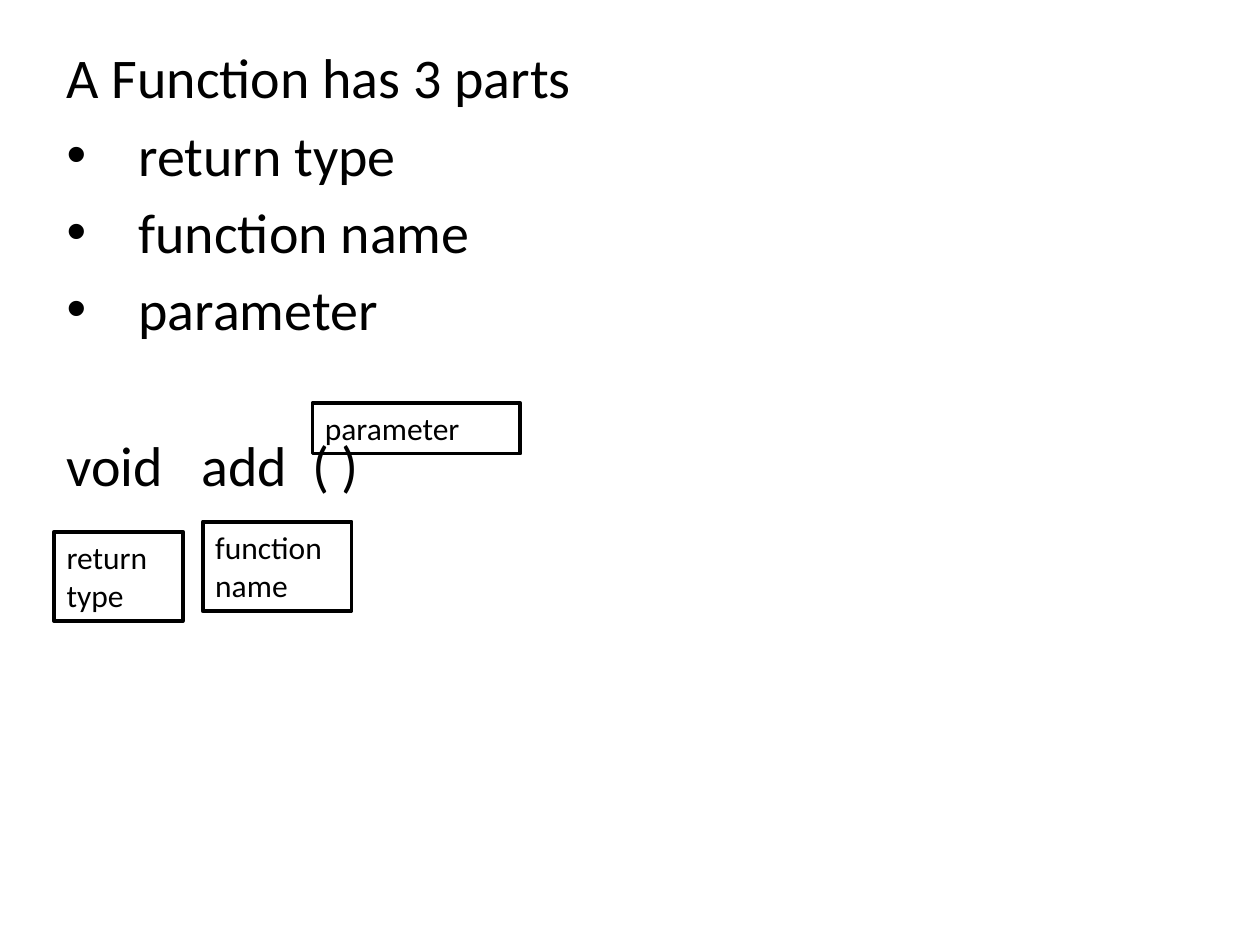
"""Build a slide naming the three parts of a function."""
from lxml.etree import SubElement
from pptx import Presentation
from pptx.dml.color import RGBColor
from pptx.enum.shapes import MSO_SHAPE
from pptx.enum.text import MSO_ANCHOR, PP_ALIGN
from pptx.oxml.ns import qn
from pptx.util import Inches, Pt

COLORS = {"ink": "000000", "paper": "FFFFFF"}
INK = RGBColor.from_string(COLORS["ink"])
LEFT = 0.43
BULLET_INDENT = 0.57
CODE_TABS = [1.07, 1.95]
LINE_GAP = 5.75
CODE_GAP = 50.5


def style(para, size):
    para.alignment = PP_ALIGN.LEFT
    para.font.name = "Calibri"
    para.font.size = Pt(size)
    para.font.color.rgb = INK


deck = Presentation()
deck.slide_width, deck.slide_height = Inches(10), Inches(7.5)
page = deck.slides.add_slide(deck.slide_layouts[6])
page.background.fill.solid()
page.background.fill.fore_color.rgb = RGBColor.from_string(COLORS["paper"])

body = page.shapes.add_textbox(Inches(LEFT), Inches(0.29), Inches(9), Inches(4.95))
frame = body.text_frame
frame.word_wrap = True
lines = [
    ("A Function has 3 parts", False, 0),
    ("return type", True, LINE_GAP),
    ("function name", True, LINE_GAP),
    ("parameter", True, LINE_GAP),
    ("void\tadd\t( )", False, CODE_GAP),
]
for index, (text, bulleted, gap) in enumerate(lines):
    para = frame.add_paragraph() if index else frame.paragraphs[0]
    para.add_run().text = text
    style(para, 32)
    para.space_before = Pt(gap)
    properties = para._p.get_or_add_pPr()
    if bulleted:
        properties.set("marL", str(Inches(BULLET_INDENT)))
        properties.set("indent", str(-Inches(BULLET_INDENT)))
        font = properties.find(qn("a:defRPr"))
        for tag, name, value in [("a:buFont", "typeface", "Arial"), ("a:buChar", "char", "•")]:
            bullet = SubElement(properties, qn(tag))
            bullet.set(name, value)
            if font is not None:
                font.addprevious(bullet)

properties = frame.paragraphs[-1]._p.get_or_add_pPr()
tabs = SubElement(properties, qn("a:tabLst"))
for position in CODE_TABS:
    tab = SubElement(tabs, qn("a:tab"))
    tab.set("pos", str(Inches(position)))
    tab.set("algn", "l")
font = properties.find(qn("a:defRPr"))
if font is not None:
    font.addprevious(tabs)

labels = [
    ("return type", LEFT, 4.22, 1.02, 0.71),
    ("function name", 1.61, 4.14, 1.18, 0.71),
    ("parameter", 2.48, 3.2, 1.65, 0.4),
]
for text, *bounds in labels:
    box = page.shapes.add_shape(MSO_SHAPE.RECTANGLE, *map(Inches, bounds))
    box.shadow.inherit = False
    box.fill.background()
    box.line.color.rgb = INK
    box.line.width = Pt(2.25)
    box.text_frame.word_wrap = True
    box.text_frame.vertical_anchor = MSO_ANCHOR.TOP
    para = box.text_frame.paragraphs[0]
    para.add_run().text = text
    style(para, 18)

deck.save("out.pptx")
